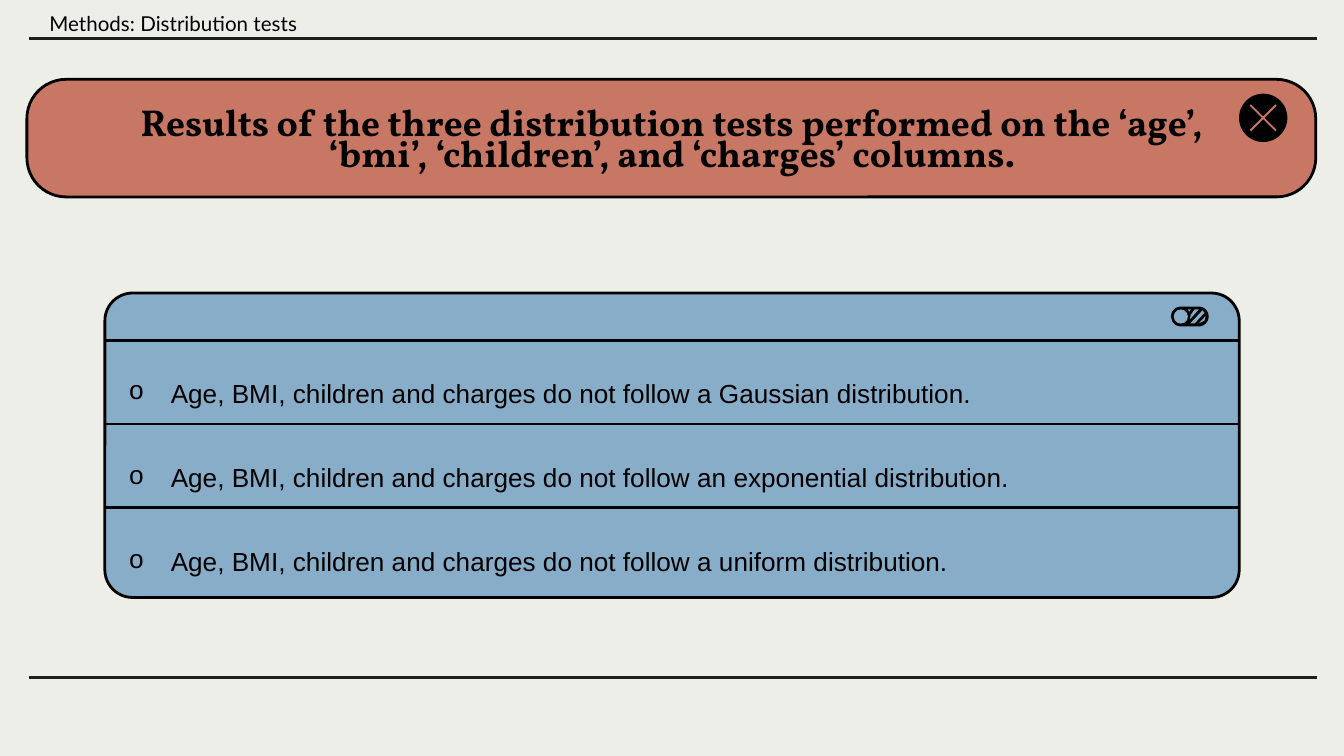
from lxml import etree
from pptx import Presentation
from pptx.dml.color import RGBColor
from pptx.enum.shapes import MSO_CONNECTOR, MSO_SHAPE
from pptx.enum.text import MSO_ANCHOR, PP_ALIGN
from pptx.oxml.ns import qn
from pptx.util import Pt

STRAIGHT = MSO_CONNECTOR.STRAIGHT
ROUNDED = MSO_SHAPE.ROUNDED_RECTANGLE
OVAL = MSO_SHAPE.OVAL
MIDDLE = MSO_ANCHOR.MIDDLE
CENTER = PP_ALIGN.CENTER
BLACK, RULE, RED, BLUE = "000000", "1B2119", "C77763", "88ADC8"


def color(value):
    return RGBColor.from_string(value)


def paint(shape, fill, outline=None):
    """Give a shape a solid fill, an optional outline and no shadow."""
    shape.shadow.inherit = False
    shape.fill.solid()
    shape.fill.fore_color.rgb = color(fill)
    if outline:
        shape.line.color.rgb = color(outline)
        shape.line.width = Pt(1.5)
    else:
        shape.line.fill.background()


presentation = Presentation()
presentation.slide_width = Pt(720)
presentation.slide_height = Pt(405)
slide = presentation.slides.add_slide(presentation.slide_layouts[6])
slide.background.fill.solid()
slide.background.fill.fore_color.rgb = color("EEEEE9")
shapes = slide.shapes

# Title banner and result card
for left, top, width, height, radius, fill in (
    (14.4, 42.5, 690.5, 63, 0.334, RED),
    (56.2, 157, 607.7, 163.1, 0.091, BLUE),
):
    panel = shapes.add_shape(ROUNDED, Pt(left), Pt(top), Pt(width), Pt(height))
    panel.adjustments[0] = radius
    paint(panel, fill, BLACK)

# Horizontal rules of the page and the card header
for left, right, y, line_color in (
    (15.4, 705.6, 20.6, RULE),
    (15.4, 705.6, 362.9, RULE),
    (56.7, 663.8, 182.3, BLACK),
):
    rule = shapes.add_connector(STRAIGHT, Pt(left), Pt(y), Pt(right), Pt(y))
    rule.line.color.rgb = color(line_color)
    rule.line.width = Pt(1.5)
    etree.SubElement(rule._element.spPr, qn("a:effectLst"))

# Row grid of the card: only the lines between rows are drawn
frame = shapes.add_table(3, 4, Pt(56.2), Pt(182.3), Pt(607.7), Pt(134.4))
table = frame.table
table.first_row = table.horz_banding = False
for column, width in zip(table.columns, (144.7, 115.9, 158.4, 188.7)):
    column.width = Pt(width)
for row_index, row in enumerate(table.rows):
    row.height = Pt(44.8)
    drawn = {"a:lnT": row_index > 0, "a:lnB": row_index < 2}
    for cell in row.cells:
        properties = cell._tc.get_or_add_tcPr()
        for side in ("a:lnL", "a:lnR", "a:lnT", "a:lnB"):
            border = etree.SubElement(properties, qn(side), w=str(Pt(1.5)))
            if drawn.get(side):
                solid = etree.SubElement(border, qn("a:solidFill"))
                etree.SubElement(solid, qn("a:srgbClr"), val=BLACK)
            else:
                etree.SubElement(border, qn("a:noFill"))
        cell.fill.background()

# Close button: one arm of the cross turned through four quarters
button = shapes.add_group_shape()
paint(button.shapes.add_shape(OVAL, Pt(663.8), Pt(50.2), Pt(25.9), Pt(25.9)), BLACK)
arm = [(-6.5, -7.2), (-7.2, -6.5), (-0.7, 0)]
cross_points = []
for quarter in range(4):
    cross_points += [(Pt(676.75 + x), Pt(63.15 + y)) for x, y in arm]
    arm = [(y, -x) for x, y in arm]
builder = button.shapes.build_freeform(*cross_points[0], scale=1.0)
builder.add_line_segments(cross_points[1:], close=True)
paint(builder.convert_to_shape(), RED)

# Toggle switch: pill, knob and diagonal stripes
pill = shapes.add_shape(ROUNDED, Pt(627.3), Pt(164.2), Pt(20.2), Pt(10.7))
pill.adjustments[0] = 0.5
paint(pill, BLACK)
paint(shapes.add_shape(OVAL, Pt(628.8), Pt(165.8), Pt(7.6), Pt(7.6)), BLUE)
stripes = (
    ((636.4, 165.8), (638, 165.8), (637, 166.9)),
    ((640, 165.8), (642.2, 165.8), (637.4, 171.1), (637.9, 168.8)),
    ((644.2, 166.3), (645.3, 167.6), (640, 173.2), (637.7, 173.2)),
    ((645.9, 169.3), (645.2, 171.8), (642.2, 173.2)),
)
for stripe in stripes:
    points = [(Pt(x), Pt(y)) for x, y in stripe]
    builder = shapes.build_freeform(*points[0], scale=1.0)
    builder.add_line_segments(points[1:], close=True)
    paint(builder.convert_to_shape(), BLUE)

# Texts: text, box, font, size, line spacing
title = (
    "Results of the three distribution tests performed on the ‘age’, "
    "‘bmi’, ‘children’, and ‘charges’ columns."
)
texts = [
    (title, (56.2, 54, 607.7, 44.6), "Vollkorn", 20, 0.7),
    ("Methods: Distribution tests", (19.4, 2.2, 427, 20.9), "Lato", 11, 1),
]
for index, name in enumerate(("a Gaussian", "an exponential", "a uniform")):
    finding = f"Age, BMI, children and charges do not follow {name} distribution."
    texts.append((finding, (61.9, 190.1 + 45.2 * index, 607.7, 54.7), "Arial", 14, 1.5))

for text, box, font_name, size, spacing in texts:
    text_box = shapes.add_textbox(*map(Pt, box))
    text_frame = text_box.text_frame
    text_frame.word_wrap = True
    text_frame.text = text
    paragraph = text_frame.paragraphs[0]
    paragraph.line_spacing = spacing
    font = paragraph.runs[0].font
    font.name = font_name
    font.size = Pt(size)
    font.color.rgb = color(BLACK)
    if text == title:
        text_frame.vertical_anchor = MIDDLE
        text_frame.margin_top = text_frame.margin_bottom = Pt(7.2)
        paragraph.alignment = CENTER
        font.bold = True
    elif font_name == "Arial":
        properties = paragraph._p.get_or_add_pPr()
        properties.set("marL", str(Pt(22.5)))
        properties.set("indent", str(-Pt(22.5)))
        bullet_color = etree.SubElement(properties, qn("a:buClr"))
        etree.SubElement(bullet_color, qn("a:srgbClr"), val=BLACK)
        etree.SubElement(properties, qn("a:buFont"), typeface="Courier New")
        etree.SubElement(properties, qn("a:buChar"), char="o")

presentation.save("out.pptx")
